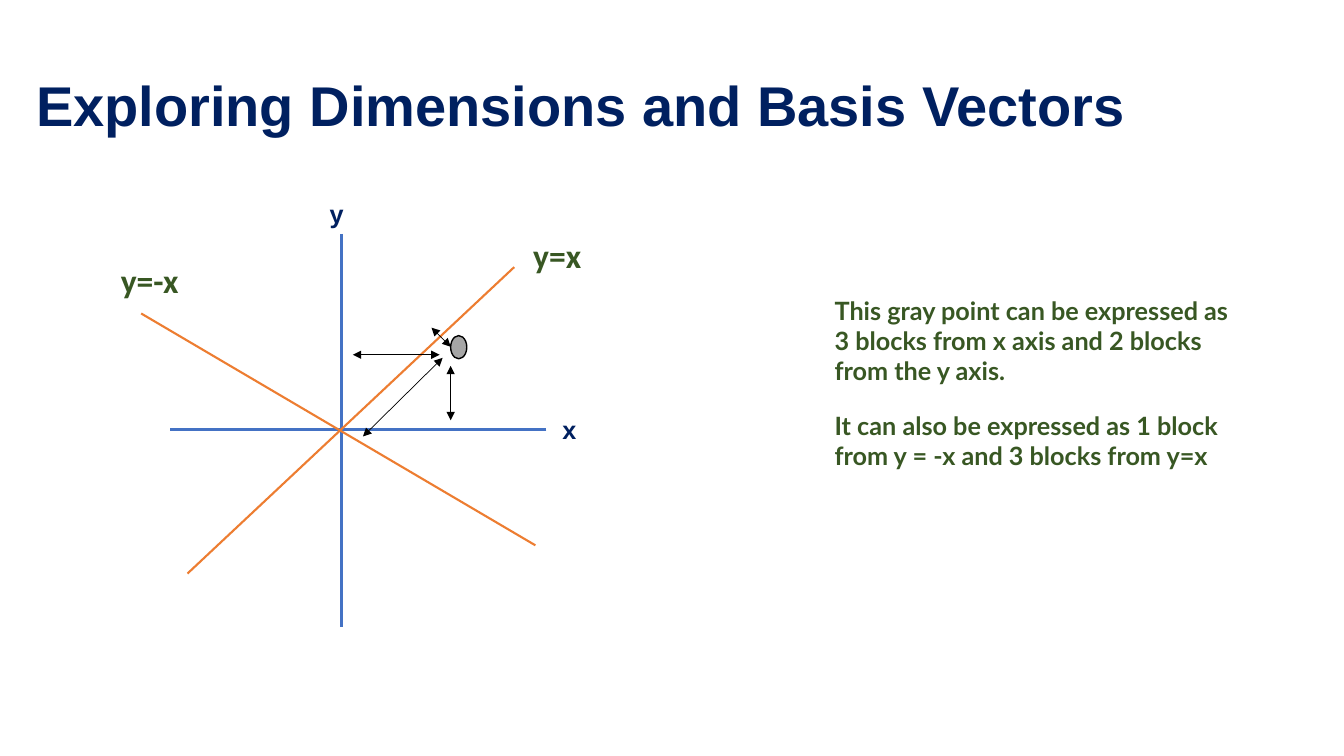
"""Build a slide on expressing one point in two different bases."""
import dataclasses

import lxml.etree
import pptx
import pptx.dml.color
import pptx.enum.shapes
import pptx.enum.text
import pptx.oxml.ns
import pptx.slide
import pptx.text.text
import pptx.util

Inches = pptx.util.Inches
Pt = pptx.util.Pt
RGBColor = pptx.dml.color.RGBColor

NAVY = RGBColor(0x00, 0x20, 0x60)
GREEN = RGBColor(0x38, 0x57, 0x23)
BLUE = RGBColor(0x44, 0x72, 0xC4)
ORANGE = RGBColor(0xED, 0x7D, 0x31)
GRAY = RGBColor(0xA6, 0xA6, 0xA6)
BLACK = RGBColor(0x00, 0x00, 0x00)


@dataclasses.dataclass(frozen=True)
class Label:
    text: str
    left: float
    top: float
    width: float
    height: float
    font: str
    size: int
    color: RGBColor


@dataclasses.dataclass(frozen=True)
class Line:
    start: tuple[float, float]
    end: tuple[float, float]
    color: RGBColor = BLACK
    weight: float = 0.5
    arrows: bool = True


LINES = (
    Line((3.39, 2.32), (3.39, 6.22), BLUE, 2.25, False),
    Line((5.42, 4.26), (1.69, 4.26), BLUE, 2.25, False),
    Line((1.86, 5.69), (5.1, 2.65), ORANGE, 1.5, False),
    Line((1.4, 3.11), (5.31, 5.41), ORANGE, 1.5, False),
    Line((4.47, 4.17), (4.47, 3.63)),
    Line((3.5, 3.52), (4.36, 3.52)),
    Line((3.6, 4.33), (4.39, 3.55)),
    Line((4.28, 3.25), (4.47, 3.44)),
)
LABELS = (
    Label("x", 5.48, 4.06, 0.5, 0.4, "Arial", 18, NAVY),
    Label("y", 3.17, 1.92, 0.5, 0.4, "Arial", 18, NAVY),
    Label("y=x", 5.19, 2.28, 0.93, 0.5, "Calibri", 24, GREEN),
    Label("y=-x", 1.1, 2.53, 0.93, 0.5, "Calibri", 24, GREEN),
    Label("This gray point can be expressed as 3 blocks from x axis and "
          "2 blocks from the y axis.", 8.18, 2.88, 4.26, 1.01, "Lato", 18, GREEN),
    Label("It can also be expressed as 1 block from y = -x and "
          "3 blocks from y=x", 8.18, 4.02, 4.07, 0.71, "Lato", 18, GREEN),
)


def set_text(frame: pptx.text.text.TextFrame, text: str, name: str,
             size: int, color: RGBColor) -> None:
    frame.text = text
    frame.word_wrap = True
    font = frame.paragraphs[0].runs[0].font
    font.name, font.size, font.bold = name, Pt(size), True
    font.color.rgb = color


def add_title(slide: pptx.slide.Slide) -> None:
    title = slide.shapes.title
    title.left, title.top = Inches(0.31), Inches(0.73)
    title.width, title.height = Inches(11.33), Inches(1.49)
    frame = title.text_frame
    set_text(frame, "Exploring Dimensions and Basis Vectors", "Arial", 40, NAVY)
    frame.auto_size = pptx.enum.text.MSO_AUTO_SIZE.NONE
    frame.vertical_anchor = pptx.enum.text.MSO_ANCHOR.TOP
    frame.margin_left = frame.margin_right = Inches(0.05)
    frame.margin_top = frame.margin_bottom = Inches(0.05)
    frame.paragraphs[0].alignment = pptx.enum.text.PP_ALIGN.LEFT
    frame.paragraphs[0].line_spacing = 0.9


def add_label(slide: pptx.slide.Slide, label: Label) -> None:
    box = slide.shapes.add_textbox(Inches(label.left), Inches(label.top),
                                   Inches(label.width), Inches(label.height))
    set_text(box.text_frame, label.text, label.font, label.size, label.color)
    box.text_frame.auto_size = pptx.enum.text.MSO_AUTO_SIZE.SHAPE_TO_FIT_TEXT


def add_line(slide: pptx.slide.Slide, line: Line) -> None:
    link = slide.shapes.add_connector(
        pptx.enum.shapes.MSO_CONNECTOR.STRAIGHT,
        *(Inches(value) for value in line.start + line.end))
    link.line.color.rgb = line.color
    link.line.width = Pt(line.weight)
    props = link._element.spPr
    if line.arrows:
        stroke = props.find(pptx.oxml.ns.qn("a:ln"))
        for tag in ("a:headEnd", "a:tailEnd"):
            lxml.etree.SubElement(stroke, pptx.oxml.ns.qn(tag), type="triangle")
    lxml.etree.SubElement(props, pptx.oxml.ns.qn("a:effectLst"))


def add_point(slide: pptx.slide.Slide) -> None:
    point = slide.shapes.add_shape(
        pptx.enum.shapes.MSO_SHAPE.OVAL,
        Inches(4.47), Inches(3.33), Inches(0.16), Inches(0.23))
    point.shadow.inherit = False
    point.fill.solid()
    point.fill.fore_color.rgb = GRAY
    point.line.color.rgb = BLACK
    point.line.width = Pt(1)


def main() -> None:
    deck = pptx.Presentation()
    deck.slide_width, deck.slide_height = Inches(13.33), Inches(7.5)
    slide = deck.slides.add_slide(deck.slide_layouts.get_by_name("Title Only"))
    add_title(slide)
    for line in LINES:
        add_line(slide, line)
    add_point(slide)
    for label in LABELS:
        add_label(slide, label)
    deck.save("out.pptx")


if __name__ == "__main__":
    main()
